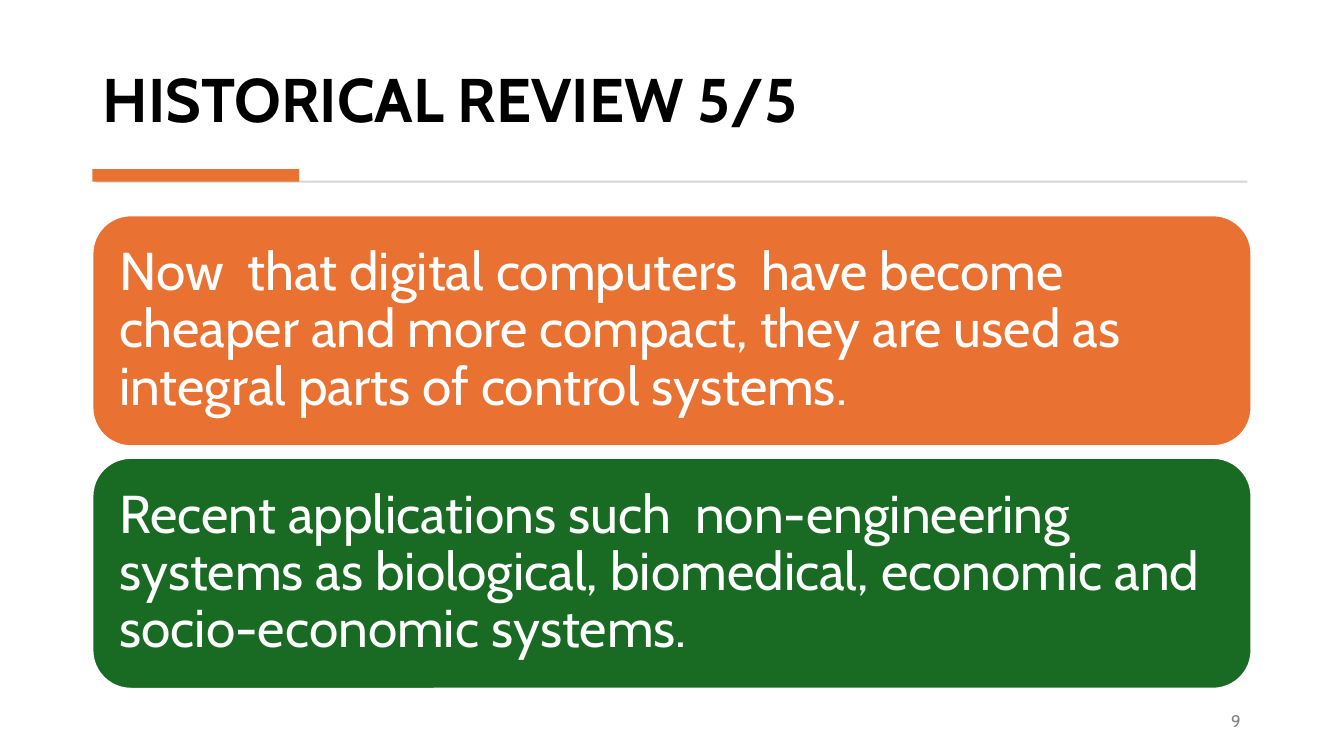
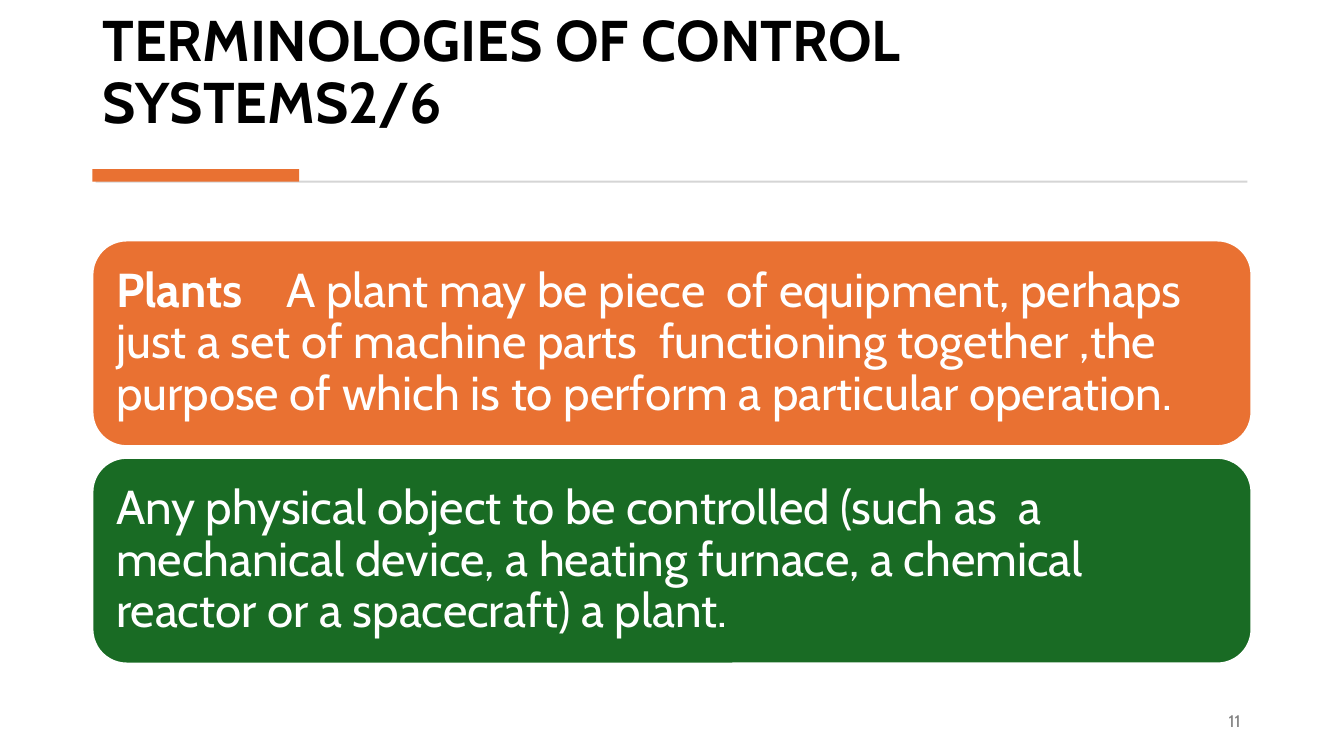
import pptx
import pptx.dml.color
import pptx.enum.shapes
import pptx.enum.text
import pptx.oxml
import pptx.oxml.ns
import pptx.util

RGB = pptx.dml.color.RGBColor
Shape = pptx.enum.shapes.MSO_SHAPE
Align = pptx.enum.text.PP_ALIGN
Anchor = pptx.enum.text.MSO_ANCHOR
Pt = pptx.util.Pt

ORANGE = RGB(0xE9, 0x71, 0x32)
GREEN = RGB(0x19, 0x6B, 0x24)
WHITE = RGB(0xFF, 0xFF, 0xFF)
BLACK = RGB(0x00, 0x00, 0x00)
GREY = RGB(0x80, 0x80, 0x80)
SILVER = RGB(0xD5, 0xD5, 0xD5)
FONT = "Cabin"

PX = 9525
WIDE, HIGH = 1280, 720
LEFT = 88
TITLE = (LEFT, 27, 1103, 107)
RULE = (91, 172, 1097, 2)
BAR = (LEFT, 161, 197, 12)
NUMBER = (931, 667, 260, 38)
CARD = 1104
GAP = 11
TAB = 162
FILLS = (ORANGE, GREEN)

# Each card is a list of (text, bold) runs.
SLIDES = [
    dict(
        title="HISTORICAL REVIEW 5/5", head=44, number="9",
        top=205, high=220, inset=15, size=38,
        cards=[
            [("Now  that digital computers  have become cheaper and more "
              "compact, they are used as integral parts of control systems.",
              False)],
            [("Recent applications such  non-engineering systems as "
              "biological, biomedical, economic and socio-economic systems.",
              False)],
        ],
    ),
    dict(
        title="TERMINOLOGIES OF CONTROL SYSTEMS2/6", head=41, number="11",
        top=229, high=196, inset=13, size=34,
        cards=[
            [("Plants\t", True),
             ("A plant may be piece  of equipment, perhaps just a set of "
              "machine parts  functioning together ,the purpose of which is "
              "to perform a particular operation.", False)],
            [("Any physical object to be controlled (such as  a mechanical "
              "device, a heating furnace, a chemical  reactor or a "
              "spacecraft) a plant.", False)],
        ],
    ),
]


def px(box):
    return [n * PX for n in box]


def style(para, size, color, align=Align.LEFT, bold=None):
    para.alignment = align
    font = para.font
    font.name, font.size, font.bold = FONT, Pt(size), bold
    font.color.rgb = color


def block(slide, kind, box, fill):
    shape = slide.shapes.add_shape(kind, *px(box))
    shape.shadow.inherit = False
    shape.fill.solid()
    shape.fill.fore_color.rgb = fill
    shape.line.fill.background()
    return shape


def frame(slide, data):
    """Add the title, rule, accent bar and page number."""
    title = slide.shapes.title
    title.left, title.top, title.width, title.height = px(TITLE)
    text = title.text_frame
    text.text = data["title"]
    text.word_wrap = True
    text.auto_size = pptx.enum.text.MSO_AUTO_SIZE.NONE
    text.vertical_anchor = Anchor.BOTTOM
    para = text.paragraphs[0]
    para.line_spacing = 0.9
    style(para, data["head"], BLACK, bold=True)

    block(slide, Shape.RECTANGLE, RULE, SILVER)
    block(slide, Shape.RECTANGLE, BAR, ORANGE)

    text = slide.shapes.add_textbox(*px(NUMBER)).text_frame
    text.text = data["number"]
    text.word_wrap = True
    text.vertical_anchor = Anchor.MIDDLE
    style(text.paragraphs[0], 12, GREY, Align.RIGHT)


def card(slide, data, top, fill, runs):
    box = (LEFT, top, CARD, data["high"])
    shape = block(slide, Shape.ROUNDED_RECTANGLE, box, fill)
    shape.line.color.rgb = WHITE
    shape.line.width = Pt(1.5)
    text = shape.text_frame
    text.word_wrap = True
    text.vertical_anchor = Anchor.MIDDLE
    inset = data["inset"] * PX
    text.margin_left = text.margin_right = inset
    text.margin_top = text.margin_bottom = inset
    para = text.paragraphs[0]
    para.line_spacing = 0.9
    if len(runs) > 1:
        tabs = pptx.oxml.parse_xml(
            f'<a:tabLst {pptx.oxml.ns.nsdecls("a")}>'
            f'<a:tab pos="{TAB * PX}" algn="l"/></a:tabLst>')
        para._p.get_or_add_pPr().append(tabs)
    style(para, data["size"], WHITE)
    for words, bold in runs:
        run = para.add_run()
        run.text = words
        run.font.bold = bold


def main():
    deck = pptx.Presentation()
    deck.slide_width, deck.slide_height = px((WIDE, HIGH))
    for data in SLIDES:
        slide = deck.slides.add_slide(deck.slide_layouts[5])
        frame(slide, data)
        for i, (fill, runs) in enumerate(zip(FILLS, data["cards"])):
            top = data["top"] + i * (data["high"] + GAP)
            card(slide, data, top, fill, runs)
    deck.save("out.pptx")


if __name__ == "__main__":
    main()
